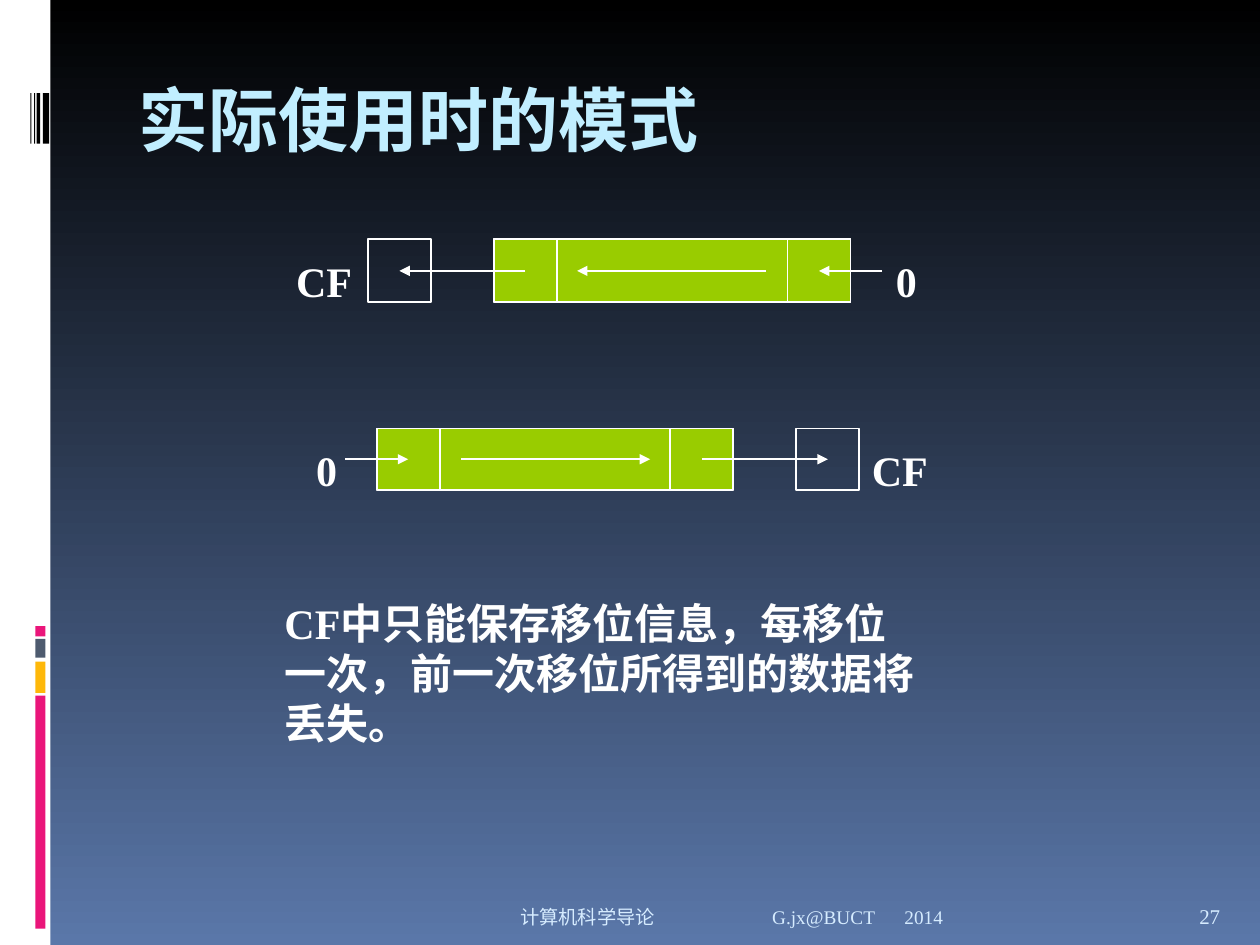
from lxml import etree
from pptx import Presentation
from pptx.dml.color import RGBColor
from pptx.enum.shapes import MSO_CONNECTOR as Link, MSO_SHAPE as Shape
from pptx.enum.text import MSO_ANCHOR as Anchor, PP_ALIGN as Align
from pptx.oxml.ns import qn
from pptx.util import Inches, Pt

SERIF = "Times New Roman"
WHITE = "FFFFFF"
PALE = "D6ECFF"
BAR = 2.83
CELL = 0.5


def color(code):
    return RGBColor.from_string(code)


def style(par, size, code, bold=False, face=SERIF):
    font = par.font
    font.name, font.size, font.bold = face, Pt(size), bold
    font.color.rgb = color(code)


def add_tab(par, stop):
    tabs = etree.SubElement(par._p.get_or_add_pPr(), qn("a:tabLst"))
    etree.SubElement(tabs, qn("a:tab"), pos=str(Inches(stop)), algn="l")


def add_box(shapes, at, fill=None, line=None):
    box = shapes.add_shape(Shape.RECTANGLE, *map(Inches, at))
    box.shadow.inherit = False
    if fill:
        box.fill.solid()
        box.fill.fore_color.rgb = color(fill)
    else:
        box.fill.background()
    if line:
        box.line.color.rgb = color(line)
        box.line.width = Pt(1)
    else:
        box.line.fill.background()


def add_text(shapes, at, text, size, code=WHITE, bold=False,
             anchor=Anchor.TOP, align=Align.LEFT, inset=0.1, stop=None):
    frame = shapes.add_textbox(*map(Inches, at)).text_frame
    frame.word_wrap = True
    frame.vertical_anchor = anchor
    frame.margin_left = Inches(inset)
    par = frame.paragraphs[0]
    par.text = text
    par.alignment = align
    if stop:
        add_tab(par, stop)
    style(par, size, code, bold)


def add_arrow(shapes, start, end, y):
    arrow = shapes.add_connector(Link.STRAIGHT, Inches(start), Inches(y),
                                 Inches(end), Inches(y))
    arrow.line.color.rgb = color(WHITE)
    arrow.line.width = Pt(1)
    etree.SubElement(arrow.line._get_or_add_ln(), qn("a:tailEnd"), type="triangle")
    etree.SubElement(arrow._element.spPr, qn("a:effectLst"))


def add_shift(slide, left, top, high, right=False):
    """Draw a register that shifts left, or its mirror image; return its group."""
    shapes = slide.shapes.add_group_shape().shapes

    def place(x, wide=0):
        return left + (BAR - x - wide if right else x)

    add_box(shapes, (left, top, BAR, high), "99CC00", WHITE)
    for x in (-1, 0, BAR - CELL):
        add_box(shapes, (place(x, CELL), top, CELL, high), line=WHITE)
    for start, end in ((0.25, -0.75), (3.08, 2.58), (2.16, 0.66)):
        add_arrow(shapes, place(start), place(end), top + high / 2)
    return shapes


def add_side(shapes):
    add_box(shapes, (0, 0, 0.4, 7.5), WHITE)
    for top, high, fill in ((5.52, 1.85, "EA157A"), (5.25, 0.25, "FEB80A"),
                            (5.07, 0.15, "4E5B6F"), (4.97, 0.08, "EA157A")):
        add_box(shapes, (0.28, top, 0.08, high), fill)
    for left, wide in ((0.34, 0.05), (0.29, 0.03), (0.27, 0.01), (0.24, 0.01)):
        add_box(shapes, (left, 0.74, wide, 0.4), "000000")


def set_title(title, text):
    title.left, title.top, title.width, title.height = map(Inches, (1, 0.56, 8.5, 1))
    frame = title.text_frame
    frame.text = text
    frame.vertical_anchor = Anchor.TOP
    par = frame.paragraphs[0]
    par.alignment = Align.LEFT
    style(par, 40, "C1EEFF", True, "Noto Sans Mono")


def set_back(slide):
    fill = slide.background.fill
    fill.gradient()
    fill.gradient_angle = 270
    for stop, code in zip(fill.gradient_stops, ("000000", "5A77A9")):
        stop.color.rgb = color(code)


def main():
    deck = Presentation()
    deck.slide_width, deck.slide_height = Inches(10), Inches(7.5)
    slide = deck.slides.add_slide(deck.slide_layouts[5])
    shapes = slide.shapes
    set_back(slide)
    add_side(shapes)
    set_title(shapes.title, "实际使用时的模式")

    low = Anchor.BOTTOM
    add_text(shapes, (7.08, 7.02, 2.33, 0.4), "2014", 11, PALE, anchor=low)
    add_text(shapes, (1, 7.02, 6.08, 0.4), "计算机科学导论\tG.jx@BUCT ", 11, PALE,
             anchor=low, align=Align.RIGHT, stop=2)
    add_text(shapes, (9.42, 7.02, 0.5, 0.4), "27", 12, PALE, anchor=low)

    group = add_shift(slide, 3.92, 1.9, 0.5)
    add_text(group, (2.08, 1.98, 6.25, 0.5), "CF\t0", 24, bold=True,
             anchor=Anchor.MIDDLE, inset=0.27, stop=4.76)
    group = add_shift(slide, 2.99, 3.4, 0.49, right=True)
    add_text(group, (2.32, 3.48, 5.17, 0.5), "0\tCF", 24, bold=True,
             anchor=Anchor.MIDDLE, inset=0.19, stop=4.41)

    add_text(shapes, (2.16, 4.69, 5.2, 1.3),
             "CF中只能保存移位信息，每移位一次，前一次移位所得到的数据将丢失。",
             24, bold=True)
    deck.save("out.pptx")


if __name__ == "__main__":
    main()
